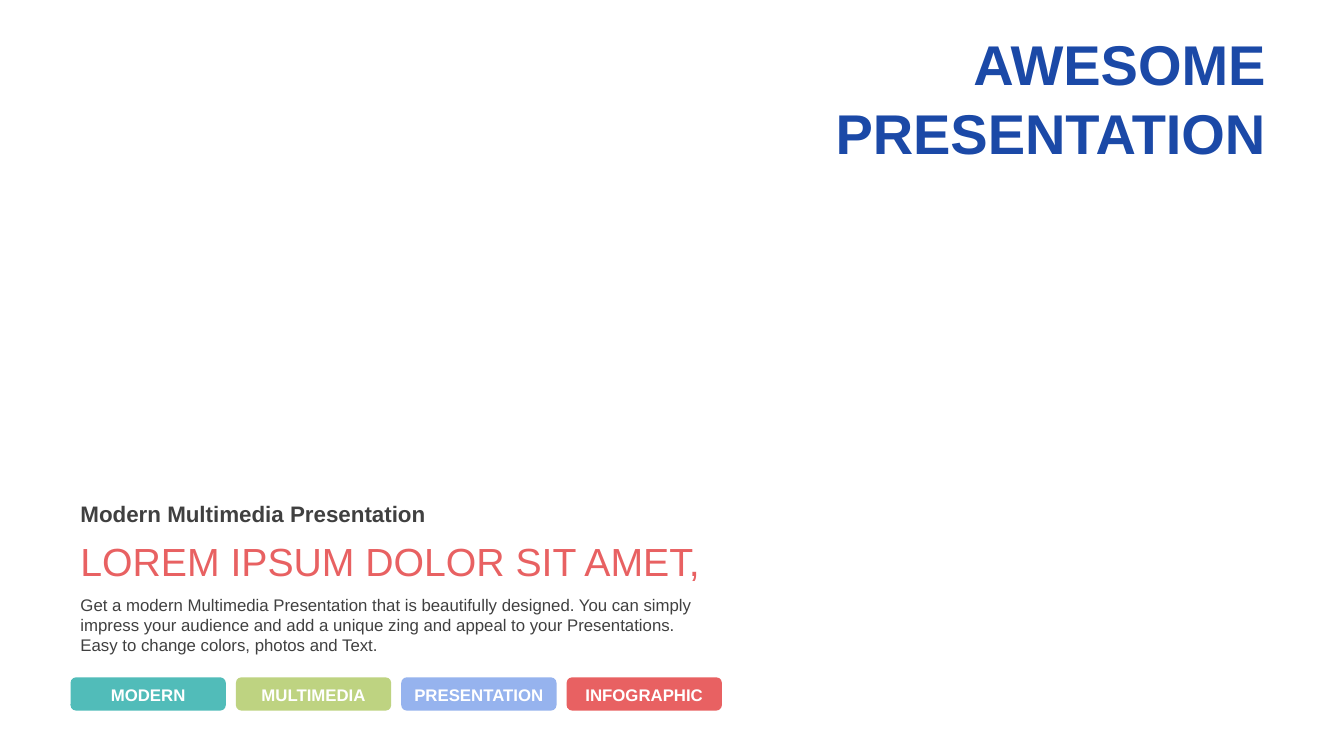
from pptx import Presentation
from pptx.dml.color import RGBColor
from pptx.enum.shapes import MSO_SHAPE as Shape
from pptx.enum.text import MSO_ANCHOR as Anchor, PP_ALIGN as Align
from pptx.util import Inches, Pt

COLORS = {
    "blue": "1B49A7",
    "gray": "404040",
    "teal": "51BCB9",
    "green": "BED381",
    "sky": "96B3EE",
    "red": "E86162",
    "white": "FFFFFF",
}
LEFT = 0.7
TEXT_WIDTH = 6.44
TAG_PITCH = 1.64
TAGS = [
    ("MODERN", "teal"),
    ("MULTIMEDIA", "green"),
    ("PRESENTATION", "sky"),
    ("INFOGRAPHIC", "red"),
]


def color(name):
    return RGBColor.from_string(COLORS[name])


def style(para, size, shade, bold=False, align=Align.LEFT):
    para.alignment = align
    para.font.name = "Arial"
    para.font.size = Pt(size)
    para.font.bold = bold
    para.font.color.rgb = color(shade)


def add_text(page, bounds, lines, size, shade, bold=False,
             align=Align.LEFT, anchor=Anchor.TOP, spacing=1.0):
    box = page.shapes.add_textbox(*map(Inches, bounds))
    frame = box.text_frame
    frame.word_wrap = True
    frame.vertical_anchor = anchor
    frame.text = "\n".join(lines)
    for para in frame.paragraphs:
        style(para, size, shade, bold, align)
        para.line_spacing = spacing


def add_tag(page, left, label, shade):
    tag = page.shapes.add_shape(
        Shape.ROUNDED_RECTANGLE,
        Inches(left), Inches(6.72), Inches(1.54), Inches(0.33))
    tag.shadow.inherit = False
    tag.fill.solid()
    tag.fill.fore_color.rgb = color(shade)
    tag.line.fill.background()
    frame = tag.text_frame
    frame.word_wrap = True
    frame.vertical_anchor = Anchor.MIDDLE
    frame.margin_top = Inches(0.1)
    frame.margin_bottom = Inches(0.05)
    frame.text = label
    para = frame.paragraphs[0]
    style(para, 12, "white", True, Align.CENTER)
    para.line_spacing = 0.9


def main():
    deck = Presentation()
    deck.slide_width = Inches(13.33)
    deck.slide_height = Inches(7.5)
    page = deck.slides.add_slide(deck.slide_layouts[6])

    add_text(page, (8.16, 0.23, 4.49, 1.45), ["AWESOME", "PRESENTATION"],
             40, "blue", True, Align.RIGHT, Anchor.MIDDLE, 1.04)
    add_text(page, (LEFT, 4.91, TEXT_WIDTH, 0.37),
             ["Modern Multimedia Presentation"], 16, "gray", True)
    add_text(page, (LEFT, 5.28, TEXT_WIDTH, 0.57),
             ["LOREM IPSUM DOLOR SIT AMET,"], 28, "red")
    add_text(page, (LEFT, 5.85, TEXT_WIDTH, 0.71),
             ["Get a modern Multimedia Presentation that is beautifully designed. "
              "You can simply impress your audience and add a unique zing and "
              "appeal to your Presentations. Easy to change colors, photos and "
              "Text."], 12, "gray")
    for index, (label, shade) in enumerate(TAGS):
        add_tag(page, LEFT + index * TAG_PITCH, label, shade)

    deck.save("out.pptx")


if __name__ == "__main__":
    main()
